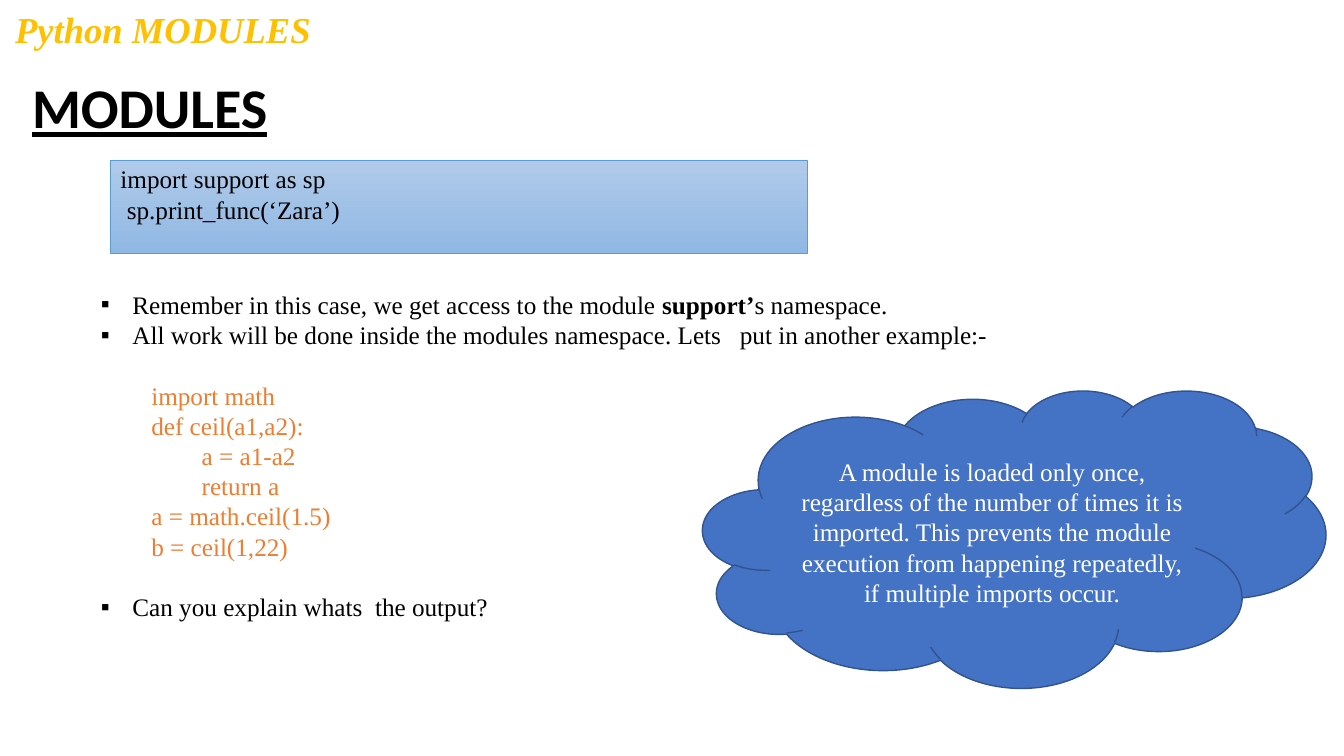
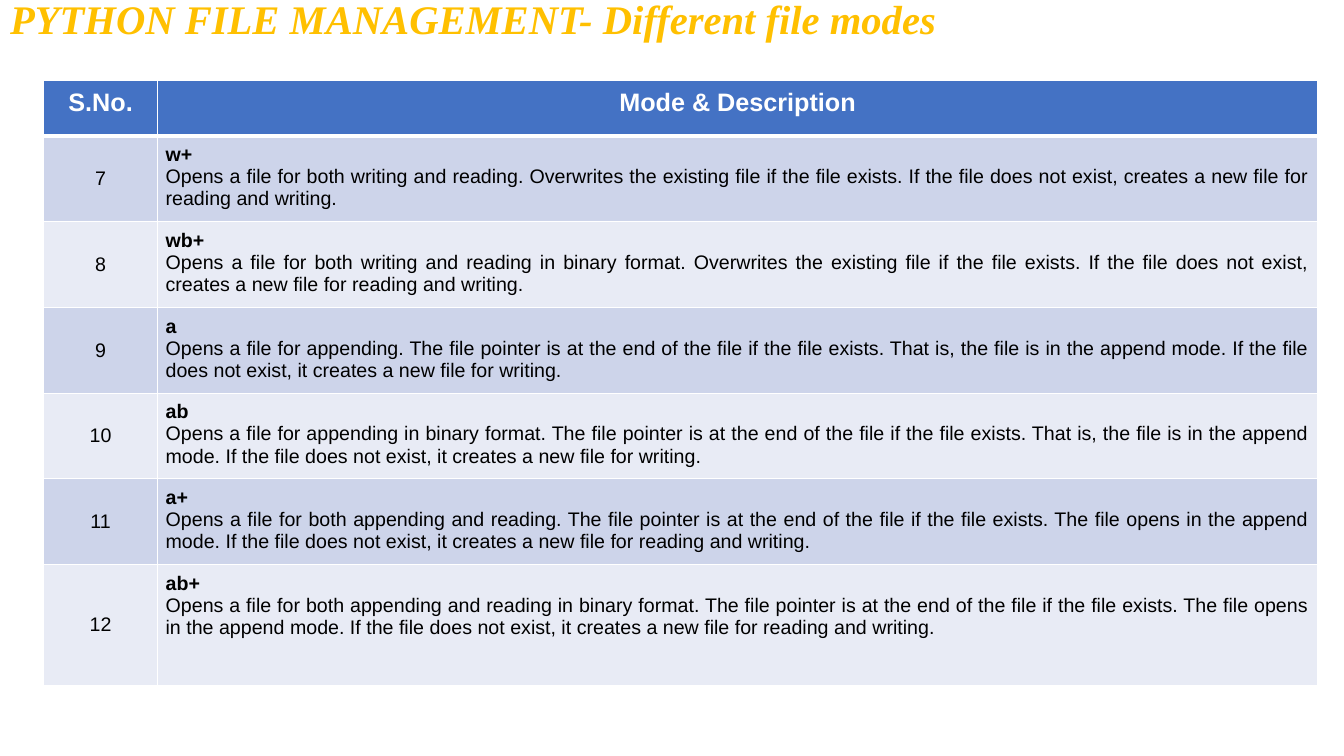
from dataclasses import dataclass

from lxml import etree
from pptx import Presentation
from pptx.dml.color import RGBColor
from pptx.enum.shapes import MSO_SHAPE
from pptx.enum.text import MSO_ANCHOR, PP_ALIGN
from pptx.oxml.ns import qn
from pptx.util import Pt

RECTANGLE, CLOUD = MSO_SHAPE.RECTANGLE, MSO_SHAPE.CLOUD
TOP, MIDDLE = MSO_ANCHOR.TOP, MSO_ANCHOR.MIDDLE
LEFT, CENTER, JUSTIFY = PP_ALIGN.LEFT, PP_ALIGN.CENTER, PP_ALIGN.JUSTIFY
TITLE_ONLY = 5


@dataclass(frozen=True)
class Theme:
    serif: str = "Times New Roman"
    sans: str = "Arial"
    heading_font: str = "Calibri"
    gold: str = "FFC000"
    black: str = "000000"
    white: str = "FFFFFF"
    orange: str = "ED7D31"
    blue: str = "4472C4"
    cloud_edge: str = "31538F"
    code_top: str = "B0CAE9"
    code_bottom: str = "90B8E4"
    code_edge: str = "5B9BD5"
    bands: tuple = ("CDD4EA", "E8EBF5")
    heading: float = 40
    body: float = 18
    cell: float = 14


THEME = Theme()

BULLETS = [
    [("Remember in this case, we get access to the module ", False),
     ("support’", True), ("s namespace.", False)],
    [("All work will be done inside the modules namespace. "
      "Lets   put in another example:-", False)],
]
CODE_LINES = ["import math", "def ceil(a1,a2):", "\ta = a1-a2", "\treturn a",
              "a = math.ceil(1.5)", "b = ceil(1,22)"]
QUESTION = [("Can you explain whats  the output?", False)]
CLOUD_NOTE = (
    "A module is loaded only once, regardless of the number of times it is "
    "imported. This prevents the module execution from happening repeatedly, "
    "if multiple imports occur.")

HEADERS = ("S.No.", "Mode & Description")
FIRST_NUMBER = 7
FILE_MODES = [
    ("w+", "Opens a file for both writing and reading. Overwrites the existing "
           "file if the file exists. If the file does not exist, creates a new "
           "file for reading and writing."),
    ("wb+", "Opens a file for both writing and reading in binary format. "
            "Overwrites the existing file if the file exists. If the file does "
            "not exist, creates a new file for reading and writing."),
    ("a", "Opens a file for appending. The file pointer is at the end of the "
          "file if the file exists. That is, the file is in the append mode. If "
          "the file does not exist, it creates a new file for writing."),
    ("ab", "Opens a file for appending in binary format. The file pointer is at "
           "the end of the file if the file exists. That is, the file is in the "
           "append mode. If the file does not exist, it creates a new file for "
           "writing."),
    ("a+", "Opens a file for both appending and reading. The file pointer is at "
           "the end of the file if the file exists. The file opens in the append "
           "mode. If the file does not exist, it creates a new file for reading "
           "and writing."),
    ("ab+", "Opens a file for both appending and reading in binary format. The "
            "file pointer is at the end of the file if the file exists. The file "
            "opens in the append mode. If the file does not exist, it creates a "
            "new file for reading and writing."),
]


# Shared helpers
def rgb(color):
    return RGBColor.from_string(color)


def points(box):
    return [Pt(length) for length in box]


def write(paragraph, text, *, size=THEME.body, font=THEME.serif,
          color=THEME.black, bold=False, italic=False, underline=False,
          align=LEFT):
    paragraph.alignment = align
    run = paragraph.add_run()
    run.text = text
    style = run.font
    style.size, style.name = Pt(size), font
    style.bold, style.italic, style.underline = bold, italic, underline
    style.color.rgb = rgb(color)


def next_paragraph(frame):
    """Return the first paragraph while it is empty, else a new one."""
    first = frame.paragraphs[0]
    return frame.add_paragraph() if first.runs else first


def indent(paragraph, left, first=0, bullet=None):
    properties = paragraph._p.get_or_add_pPr()
    properties.set("marL", str(Pt(left)))
    properties.set("indent", str(Pt(first)))
    if bullet:
        etree.SubElement(properties, qn("a:buFont"), typeface=THEME.sans)
        etree.SubElement(properties, qn("a:buChar"), char=bullet)


def add_text_box(slide, box):
    frame = slide.shapes.add_textbox(*points(box)).text_frame
    frame.word_wrap = True
    return frame


def add_panel(slide, kind, box, edge, edge_width):
    panel = slide.shapes.add_shape(kind, *points(box))
    panel.shadow.inherit = False
    panel.line.color.rgb = rgb(edge)
    panel.line.width = Pt(edge_width)
    return panel


def add_titled_slide(deck, title, box, size):
    slide = deck.slides.add_slide(deck.slide_layouts[TITLE_ONLY])
    holder = slide.shapes.title
    holder.left, holder.top, holder.width, holder.height = points(box)
    frame = holder.text_frame
    frame.vertical_anchor = MIDDLE
    frame.word_wrap = True
    paragraph = frame.paragraphs[0]
    paragraph.line_spacing = 0.9
    write(paragraph, title, size=size, color=THEME.gold, bold=True, italic=True)
    return slide


# Regions of the modules slide
def add_heading(slide, box):
    paragraph = add_text_box(slide, box).paragraphs[0]
    paragraph.line_spacing = 0.9
    write(paragraph, "MODULES", size=THEME.heading, font=THEME.heading_font,
          bold=True, underline=True)


def add_code_box(slide, box):
    panel = add_panel(slide, RECTANGLE, box, THEME.code_edge, 0.75)
    panel.fill.gradient()
    panel.fill.gradient_angle = 270
    for stop, color in zip(panel.fill.gradient_stops,
                           (THEME.code_top, THEME.code_bottom)):
        stop.color.rgb = rgb(color)
    frame = panel.text_frame
    frame.vertical_anchor = TOP
    frame.margin_top = Pt(2)
    for line, left in (("import support as sp", 0), ("sp.print_func(‘Zara’)", 4.5)):
        paragraph = next_paragraph(frame)
        indent(paragraph, left)
        write(paragraph, line)


def add_explanation(slide, box):
    frame = add_text_box(slide, box)
    gap = Pt(21.6)

    def add_bullet(runs):
        paragraph = next_paragraph(frame)
        indent(paragraph, 22.5, -22.5, "▪")
        for text, bold in runs:
            write(paragraph, text, bold=bold)
        return paragraph

    for runs in BULLETS:
        add_bullet(runs)
    for number, line in enumerate(CODE_LINES):
        paragraph = next_paragraph(frame)
        indent(paragraph, 36)
        write(paragraph, line, color=THEME.orange)
        if number == 0:
            paragraph.space_before = gap
    add_bullet(QUESTION).space_before = gap


def add_cloud(slide, box):
    cloud = add_panel(slide, CLOUD, box, THEME.cloud_edge, 1)
    cloud.fill.solid()
    cloud.fill.fore_color.rgb = rgb(THEME.blue)
    frame = cloud.text_frame
    frame.word_wrap = True
    frame.vertical_anchor = MIDDLE
    write(frame.paragraphs[0], CLOUD_NOTE, color=THEME.white, align=CENTER)


def build_modules_slide(deck):
    slide = add_titled_slide(deck, "Python MODULES", (3.6, 0, 279.4, 45.4), 26.1)
    add_heading(slide, (15.8, 54, 400, 60))
    add_code_box(slide, (79, 115, 498, 66))
    add_explanation(slide, (65, 203, 763, 291))
    add_cloud(slide, (502, 278.6, 445, 212.4))


# File modes table
def style_cell(cell, fill, anchor, top=1, bottom=1):
    cell.fill.solid()
    cell.fill.fore_color.rgb = rgb(fill)
    cell.vertical_anchor = anchor
    cell.margin_left = cell.margin_right = Pt(5.75)
    cell.margin_top = cell.margin_bottom = Pt(5.75)
    properties = cell._tc.get_or_add_tcPr()
    sides = (("a:lnL", 1), ("a:lnR", 1), ("a:lnT", top), ("a:lnB", bottom))
    for place, (side, width) in enumerate(sides):
        border = etree.Element(qn(side), w=str(Pt(width)))
        paint = etree.SubElement(border, qn("a:solidFill"))
        etree.SubElement(paint, qn("a:srgbClr"), val=THEME.white)
        properties.insert(place, border)


def add_modes_table(slide, left, top):
    widths = (81.4, 828.6)
    heights = [39.6] + [61.2] * (len(FILE_MODES) - 1) + [86.4]
    table = slide.shapes.add_table(
        len(heights), len(widths),
        *points((left, top, sum(widths), sum(heights)))).table
    table.horz_banding = False
    for column, width in zip(table.columns, widths):
        column.width = Pt(width)
    for row, height in zip(table.rows, heights):
        row.height = Pt(height)

    for column, header in enumerate(HEADERS):
        cell = table.cell(0, column)
        style_cell(cell, THEME.blue, TOP, bottom=3)
        write(cell.text_frame.paragraphs[0], header, font=THEME.sans,
              color=THEME.white, bold=True, align=CENTER)

    for row, (mode, description) in enumerate(FILE_MODES, start=1):
        band = THEME.bands[(row - 1) % 2]
        number_cell, mode_cell = table.cell(row, 0), table.cell(row, 1)
        for cell, anchor in ((number_cell, MIDDLE), (mode_cell, TOP)):
            style_cell(cell, band, anchor, top=3 if row == 1 else 1)
        write(number_cell.text_frame.paragraphs[0], str(FIRST_NUMBER + row - 1),
              size=THEME.cell, font=THEME.sans, align=CENTER)
        for text, bold in ((mode, True), (description, False)):
            write(next_paragraph(mode_cell.text_frame), text, size=THEME.cell,
                  font=THEME.sans, bold=bold, align=JUSTIFY)


def build_file_modes_slide(deck):
    slide = add_titled_slide(
        deck, "PYTHON FILE MANAGEMENT- Different file modes", (0, 0, 856, 31), 29)
    add_modes_table(slide, 31.2, 57.6)


def main():
    deck = Presentation()
    deck.slide_width, deck.slide_height = Pt(960), Pt(540)
    build_modules_slide(deck)
    build_file_modes_slide(deck)
    deck.save("out.pptx")


if __name__ == "__main__":
    main()
